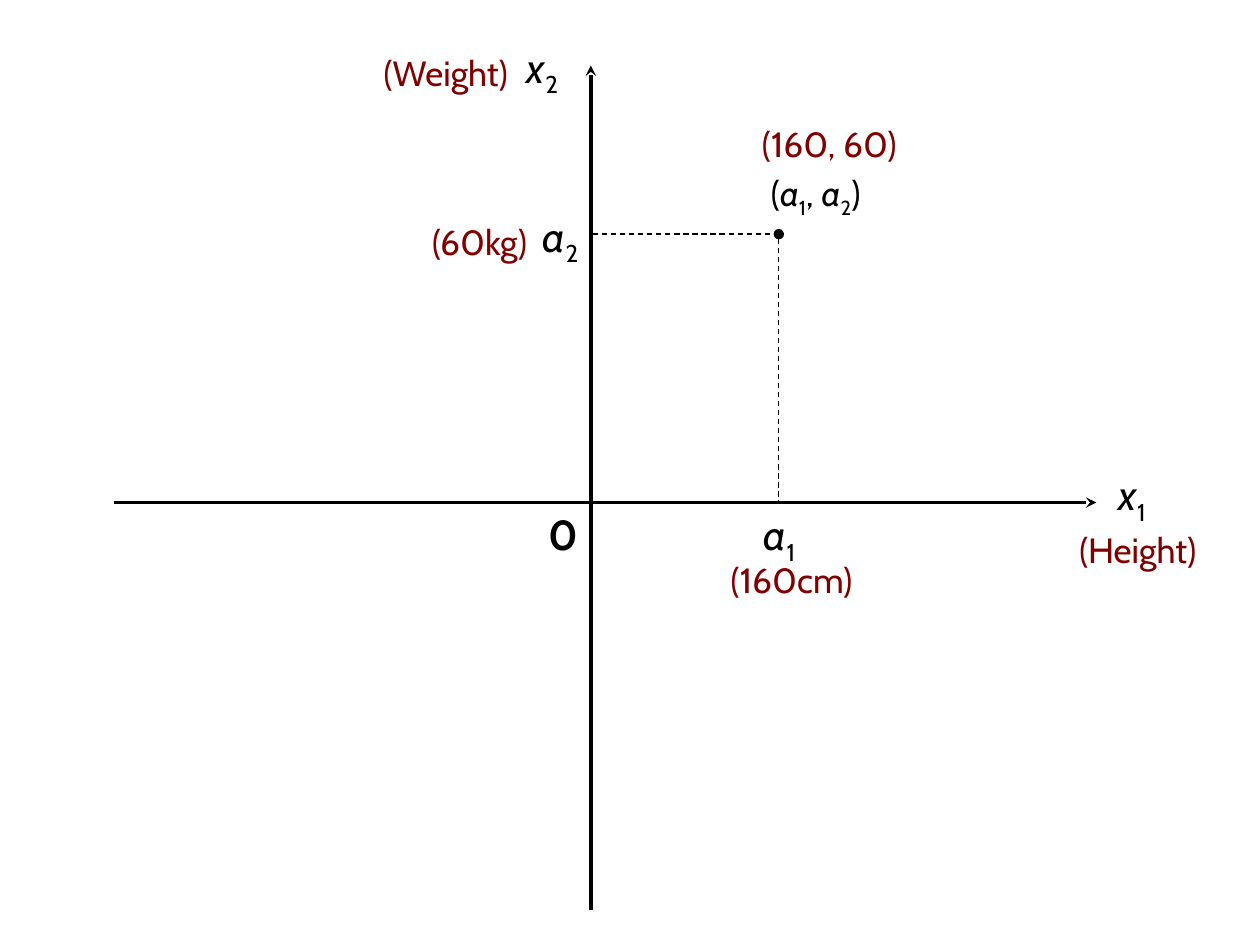
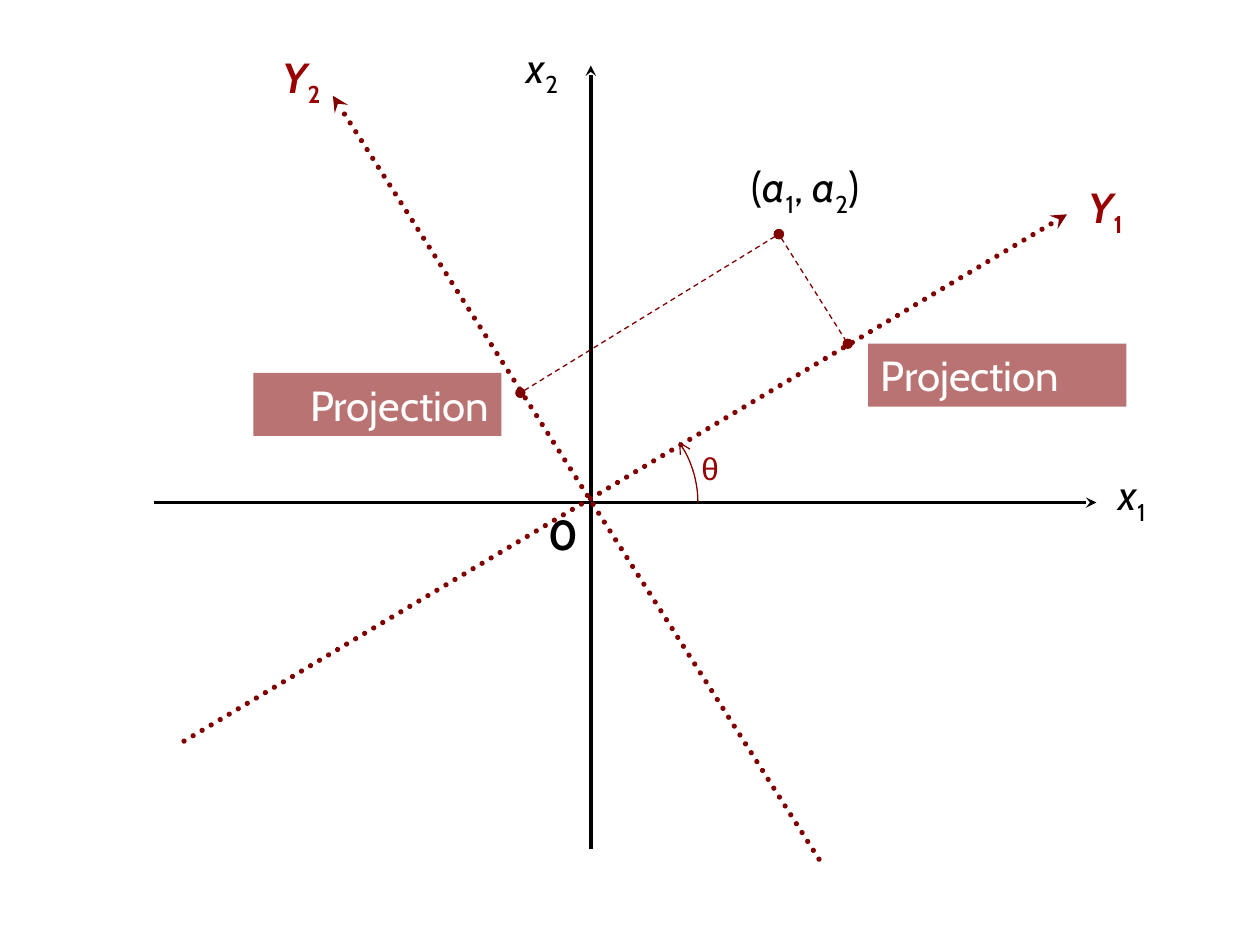
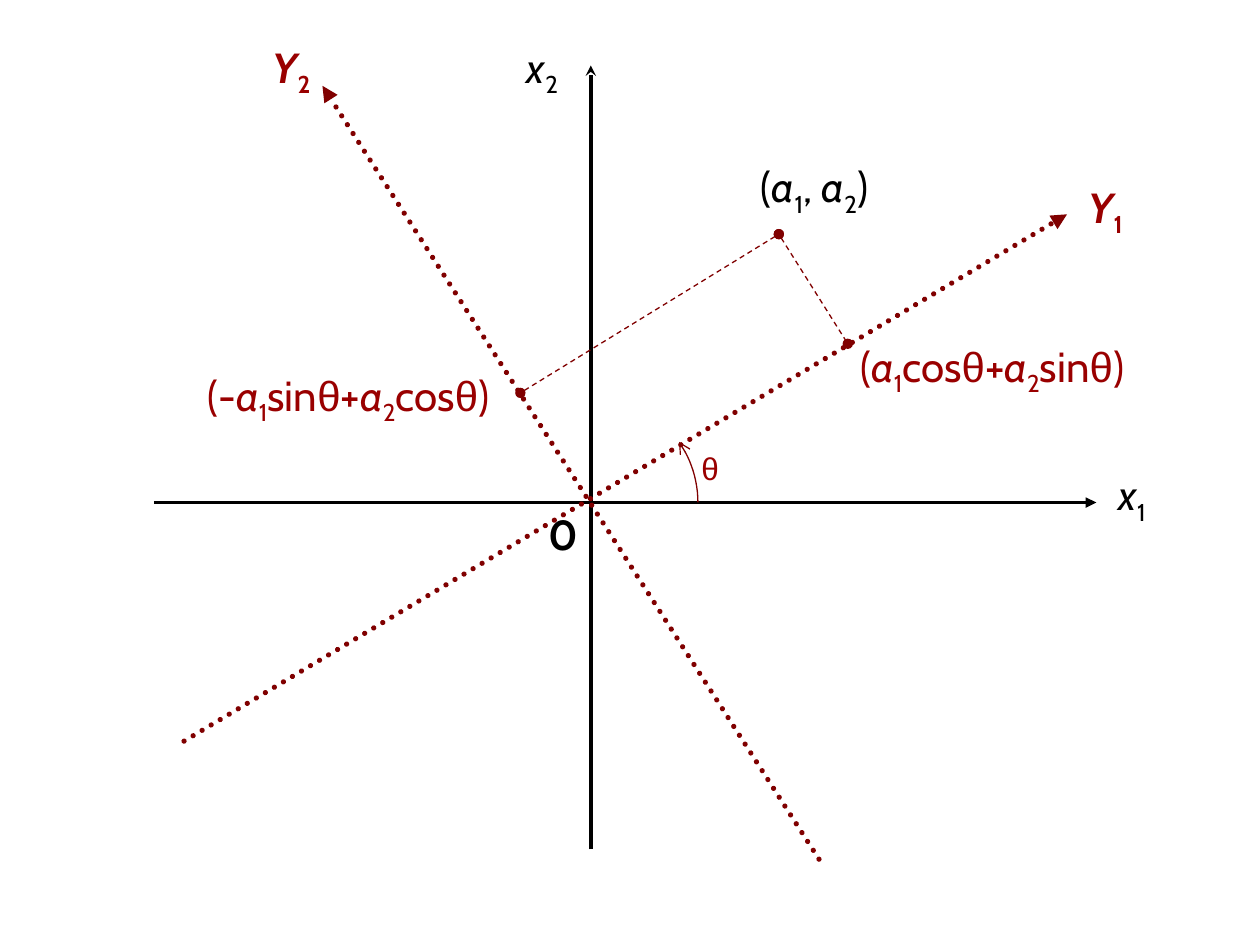
from math import cos, radians, sin

from lxml import etree
from pptx import Presentation
from pptx.dml.color import RGBColor
from pptx.enum.dml import MSO_LINE
from pptx.enum.shapes import MSO_CONNECTOR, MSO_SHAPE
from pptx.enum.text import MSO_ANCHOR, PP_ALIGN
from pptx.oxml.ns import qn
from pptx.util import Cm, Pt

LEFT, MID, RIGHT = PP_ALIGN.LEFT, PP_ALIGN.CENTER, PP_ALIGN.RIGHT
TOP = MSO_ANCHOR.TOP
DASH, DOT = MSO_LINE.DASH, MSO_LINE.ROUND_DOT
RECT, STRAIGHT = MSO_SHAPE.RECTANGLE, MSO_CONNECTOR.STRAIGHT
BLACK, MAROON, RED, WHITE = "000000", "800000", "990000", "FFFFFF"
color = RGBColor.from_string

ORIGIN = (11.91, 10.13)
POINT = (15.7, 4.72)
FOOT1 = (17.09, 6.93)
FOOT2 = (10.49, 7.92)
RADIUS, ANGLE, STEPS = 2.16, 34.4, 12
PAIR = "(|*a|_1|, |*a|_2|)"


def draw(slide, points, tint, width, dash=None, head=None, tail=None):
    spots = [(Cm(x), Cm(y)) for x, y in points]
    if len(spots) == 2:
        shape = slide.shapes.add_connector(STRAIGHT, *spots[0], *spots[1])
        etree.SubElement(shape._element.spPr, qn("a:effectLst"))
    else:
        form = slide.shapes.build_freeform(*spots[0])
        form.add_line_segments(spots[1:], close=False)
        shape = form.convert_to_shape()
        shape.fill.background()
        shape.shadow.inherit = False
    shape.line.color.rgb = color(tint)
    shape.line.width = Pt(width)
    if dash:
        shape.line.dash_style = dash
    ln = shape._element.spPr.find(qn("a:ln"))
    if dash == DOT:
        ln.set("cap", "rnd")
    for tag, kind in (("a:headEnd", head), ("a:tailEnd", tail)):
        if kind:
            etree.SubElement(ln, qn(tag), type=kind)


def write(slide, spot, text, tint=BLACK, size=24, align=LEFT, bold=False, fill=None):
    area = [Cm(n) for n in spot]
    if fill:
        box = slide.shapes.add_shape(RECT, *area)
        box.shadow.inherit = False
        box.line.fill.background()
        box.fill.solid()
        box.fill.fore_color.rgb = color(fill)
        rgb = box._element.spPr.find(qn("a:solidFill"))[0]
        etree.SubElement(rgb, qn("a:alpha"), val="55000")
    else:
        box = slide.shapes.add_textbox(*area)
    frame = box.text_frame
    frame.word_wrap = True
    frame.vertical_anchor = TOP
    para = frame.paragraphs[0]
    para.alignment = align
    for part in text.split("|"):
        run = para.add_run()
        run.text = part.lstrip("*_")
        look = {"name": "Arial" if part == "θ" else "Cabin", "size": Pt(size),
                "bold": bold, "italic": part.startswith("*")}
        for key, value in look.items():
            setattr(run.font, key, value)
        run.font.color.rgb = color(tint)
        if part.startswith("_"):
            run._r.get_or_add_rPr().set("baseline", "-25000")


deck = Presentation()
deck.slide_width, deck.slide_height = Cm(25.4), Cm(19.05)
blank = deck.slide_layouts[6]
slides = [deck.slides.add_slide(blank) for _ in range(3)]
plain, turned, solved = slides

axes = [(2.29, 18.34, "stealth"), (3.1, 17.12, "stealth"), (3.1, 17.12, "triangle")]
for slide, (left, low, tip) in zip(slides, axes):
    draw(slide, [(left, ORIGIN[1]), (22.1, ORIGIN[1])], BLACK, 2, tail=tip)
    draw(slide, [(ORIGIN[0], low), (ORIGIN[0], 1.32)], BLACK, 2, tail="stealth")
    write(slide, (22.3, 9.32, 1.8, 1.42), "*x|_1")
    write(slide, (9.7, 0.71, 1.8, 1.42), "*x|_2", align=RIGHT)
    write(slide, (10.31, 10.13, 1.6, 1.27), "0", align=RIGHT, bold=True)

draw(plain, [POINT, (POINT[0], ORIGIN[1])], BLACK, 0.75, DASH, head="oval")
draw(plain, [POINT, (ORIGIN[0], POINT[1])], BLACK, 0.75, DASH)
write(plain, (14.71, 10.13, 2.01, 1.42), "*a|_1", align=MID)
write(plain, (9.7, 4.11, 2.21, 1.42), "*a|_2", align=RIGHT)
write(plain, (15.29, 3.33, 3, 1.22), PAIR, size=20)
notes = [
    (21.51, 10.52, 3.2, "(Height)", LEFT),
    (7.29, 0.91, 3.2, "(Weight)", RIGHT),
    (15.11, 2.34, 3.6, "(160, 60)", LEFT),
    (14.48, 11.13, 3.4, "(160cm)", LEFT),
    (8.46, 4.32, 2.8, "(60kg)", LEFT),
]
for left, top, width, text, align in notes:
    write(plain, (left, top, width, 1.12), text, MAROON, 20, align)

angles = [radians(ANGLE * (1 - n / STEPS)) for n in range(STEPS + 1)]
arc = [(ORIGIN[0] + RADIUS * cos(a), ORIGIN[1] - RADIUS * sin(a)) for a in angles]
views = [
    (turned, "stealth", (6.71, 1.93), (4.7, 0.91), 14.91),
    (solved, "triangle", (6.5, 1.73), (4.5, 0.71), 15.09),
]
for slide, tip, end, label, left in views:
    draw(slide, [(3.71, 14.94), (21.51, 4.32)], MAROON, 3, DOT, tail=tip)
    draw(slide, [(16.51, 17.32), end], MAROON, 3, DOT, tail=tip)
    draw(slide, arc, MAROON, 0.75, head="arrow")
    for foot in (FOOT1, FOOT2):
        draw(slide, [POINT, foot], MAROON, 0.75, DASH, "oval", "oval")
    write(slide, (13.89, 8.92, 0.99, 1.02), "θ", RED, 18)
    write(slide, (left, 3.12, 3, 1.42), PAIR)
    write(slide, (21.69, 3.53, 2.01, 1.42), "*Y|_1", RED, bold=True)
    write(slide, (*label, 2.01, 1.42), "*Y|_2", RED, align=RIGHT, bold=True)

write(turned, (5.11, 7.52, 5, 1.27), "Projection", WHITE, align=RIGHT, fill=MAROON)
write(turned, (17.5, 6.93, 5.21, 1.27), "Projection", WHITE, fill=MAROON)
write(solved, (17.09, 6.73, 6.81, 1.42), "(|*a|_1|cos|θ|+|*a|_2|sin|θ|)", RED)
write(solved, (3.3, 7.32, 6.81, 1.42), "(-|*a|_1|sin|θ|+|*a|_2|cos|θ|)", RED, align=RIGHT)

deck.save("out.pptx")
